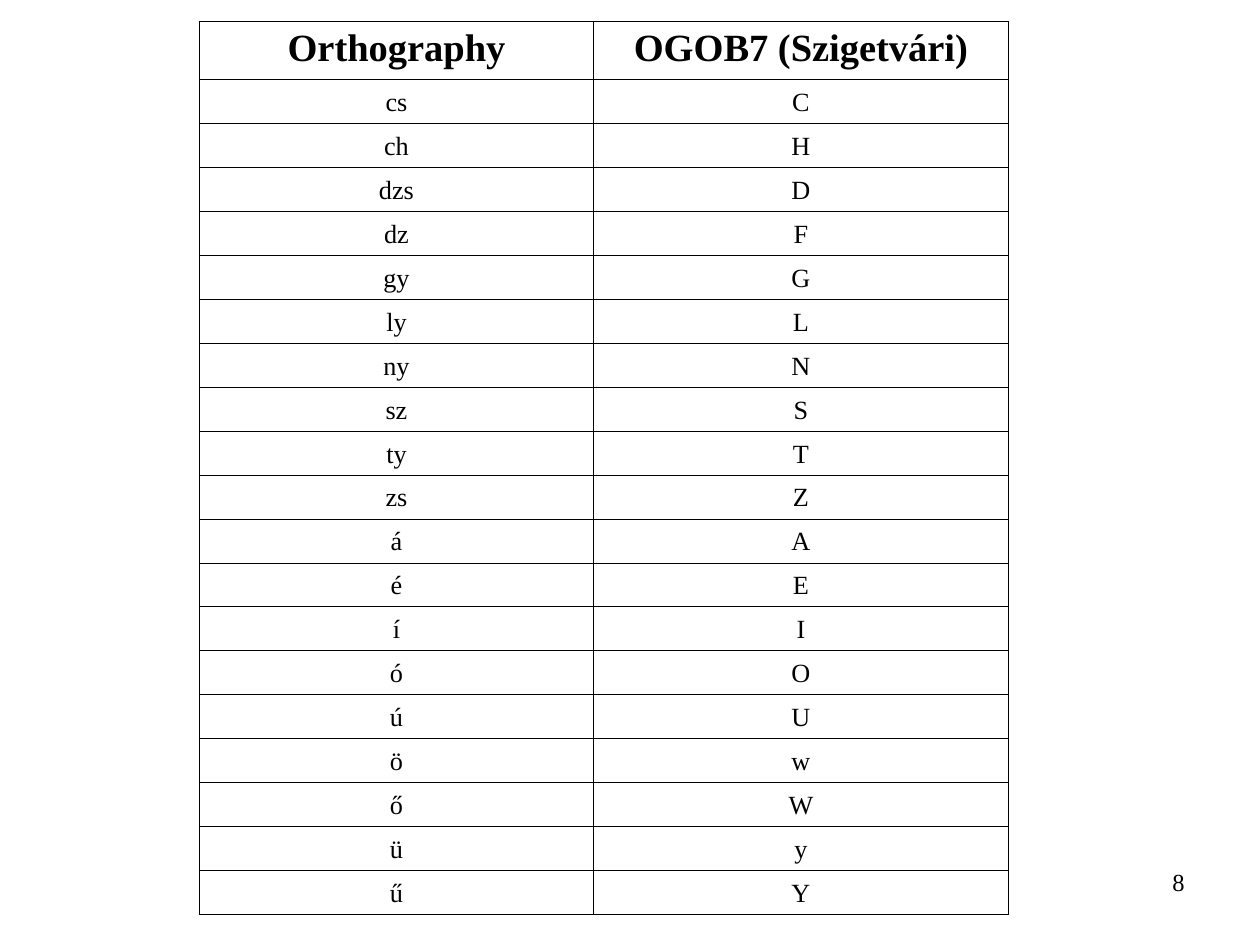
from pptx import Presentation
from pptx.dml.color import RGBColor
from pptx.enum.text import MSO_ANCHOR, PP_ALIGN
from pptx.oxml.ns import qn
from pptx.util import Pt
from lxml import etree

CENTER, RIGHT = PP_ALIGN.CENTER, PP_ALIGN.RIGHT
TOP, BOTTOM = MSO_ANCHOR.TOP, MSO_ANCHOR.BOTTOM
BLANK_LAYOUT = 6
FONT = "Times New Roman"
COLORS = {"text": "000000", "border": "000000"}
BORDER_WIDTH = Pt(0.45)
HEADER_HEIGHT, ROW_HEIGHT = Pt(33.2), Pt(25.14)
COLUMN_WIDTHS = [Pt(225.5), Pt(236.7)]

HEADER = ("Orthography", "OGOB7 (Szigetvári)")
LETTERS = [
    ("cs", "C"), ("ch", "H"), ("dzs", "D"), ("dz", "F"), ("gy", "G"),
    ("ly", "L"), ("ny", "N"), ("sz", "S"), ("ty", "T"), ("zs", "Z"),
    ("á", "A"), ("é", "E"), ("í", "I"), ("ó", "O"), ("ú", "U"),
    ("ö", "w"), ("ő", "W"), ("ü", "y"), ("ű", "Y"),
]


def write_text(text_frame, text, size, alignment, bold=False):
    text_frame.text = text
    paragraph = text_frame.paragraphs[0]
    paragraph.alignment = alignment
    font = paragraph.runs[0].font
    font.name, font.size, font.bold = FONT, Pt(size), bold
    font.color.rgb = RGBColor.from_string(COLORS["text"])


def add_borders(cell):
    properties = cell._tc.get_or_add_tcPr()
    for position, side in enumerate(("lnL", "lnR", "lnT", "lnB")):
        line = etree.Element(qn(f"a:{side}"), w=str(int(BORDER_WIDTH)))
        fill = etree.SubElement(line, qn("a:solidFill"))
        etree.SubElement(fill, qn("a:srgbClr"), val=COLORS["border"])
        properties.insert(position, line)


presentation = Presentation()
presentation.slide_width, presentation.slide_height = Pt(720), Pt(540)
slide = presentation.slides.add_slide(presentation.slide_layouts[BLANK_LAYOUT])

# Letter table
rows = [HEADER] + LETTERS
table = slide.shapes.add_table(
    len(rows), len(HEADER), Pt(113.8), Pt(12.2),
    sum(COLUMN_WIDTHS), HEADER_HEIGHT + len(LETTERS) * ROW_HEIGHT,
).table
table.first_row = table.horz_banding = False
for column, width in zip(table.columns, COLUMN_WIDTHS):
    column.width = width

for row_index, texts in enumerate(rows):
    is_header = row_index == 0
    table.rows[row_index].height = HEADER_HEIGHT if is_header else ROW_HEIGHT
    for column_index, text in enumerate(texts):
        cell = table.cell(row_index, column_index)
        cell.fill.background()
        cell.vertical_anchor = TOP if is_header else BOTTOM
        write_text(cell.text_frame, text, 22 if is_header else 15, CENTER, is_header)
        add_borders(cell)

# Page number
page_number = slide.shapes.add_textbox(Pt(516), Pt(492), Pt(168), Pt(37.5))
page_number.text_frame.word_wrap = True
write_text(page_number.text_frame, "8", 14, RIGHT)

presentation.save("out.pptx")
